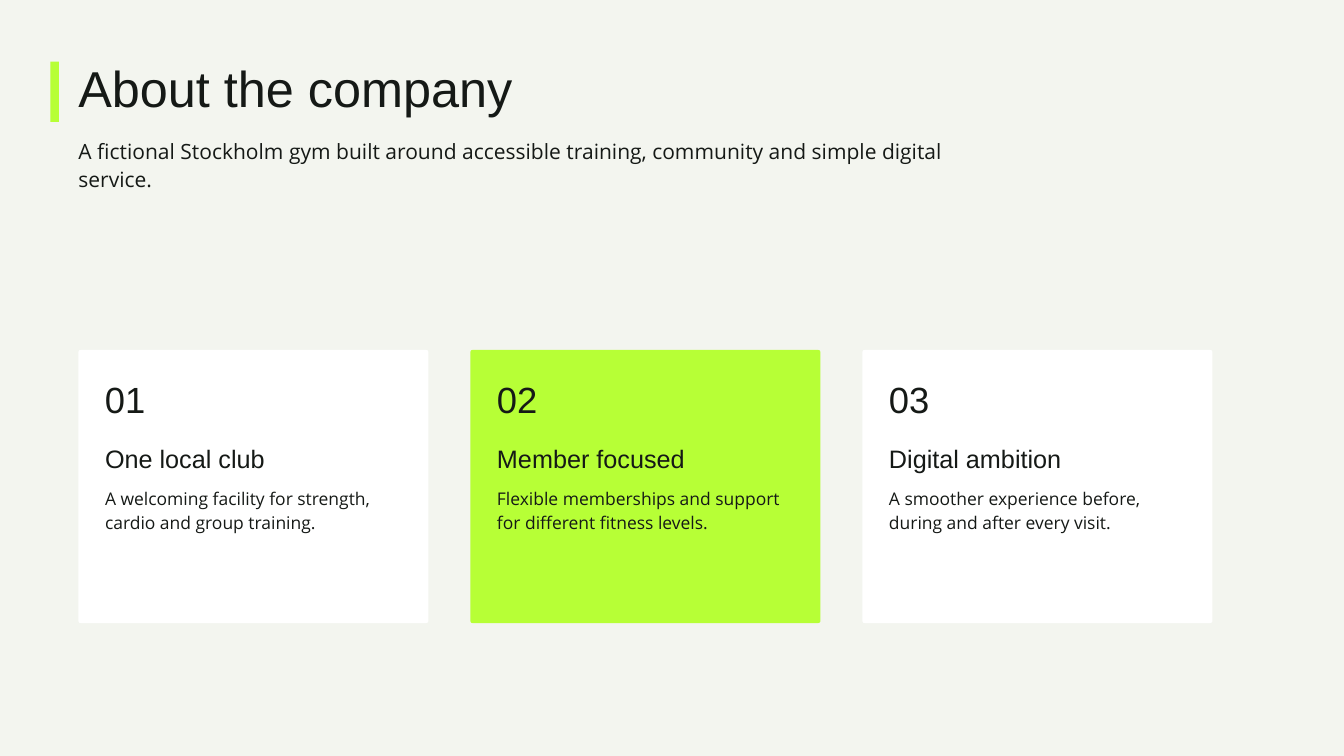
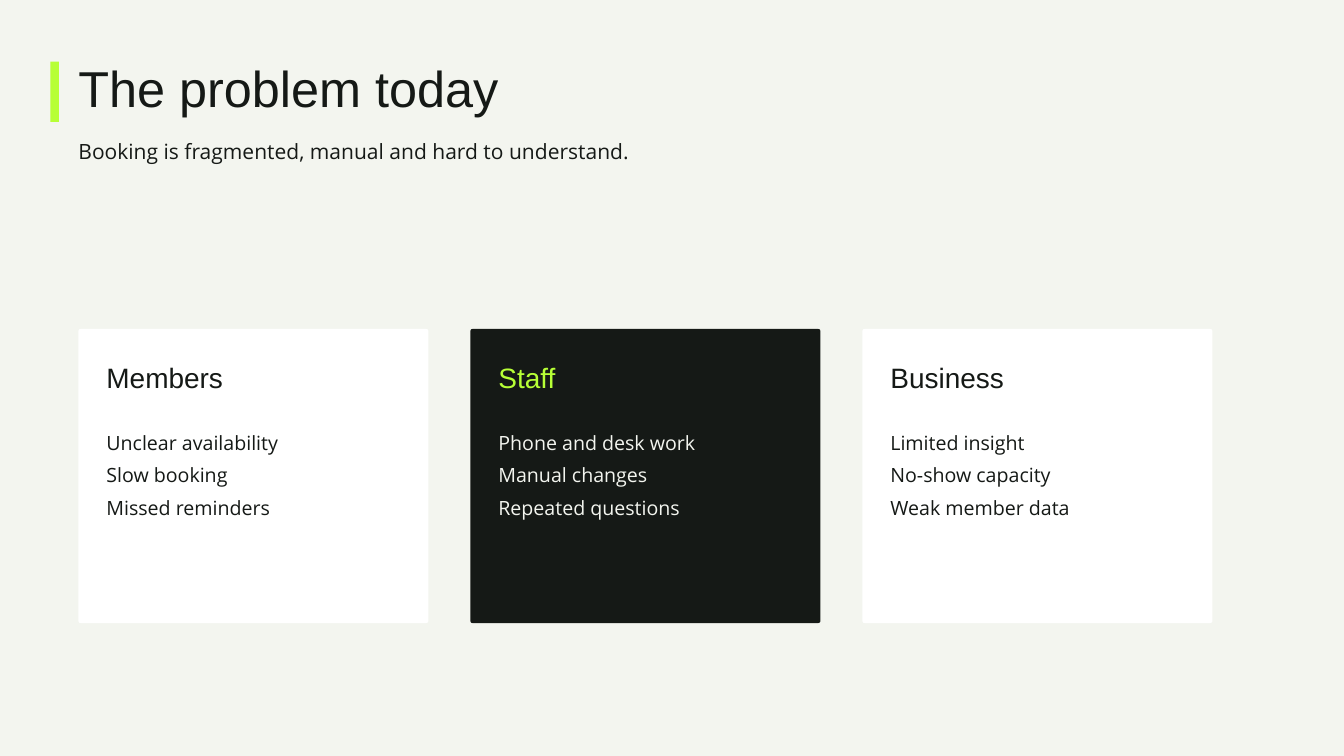
import pptx
import pptx.util
import pptx.dml.color
import pptx.enum.shapes
import pptx.enum.text

Pt = pptx.util.Pt
RGBColor = pptx.dml.color.RGBColor
SHAPES = pptx.enum.shapes.MSO_SHAPE

# Shared style
PAPER = RGBColor(0xF3, 0xF5, 0xEF)
INK = RGBColor(0x15, 0x19, 0x16)
LIME = RGBColor(0xB7, 0xFF, 0x36)
WHITE = RGBColor(0xFF, 0xFF, 0xFF)
HEAD_FONT = "Arial"
BODY_FONT = "Open Sans"

# Card grid, in points
LEFT = 84
CARD_WIDTH = 375
CARD_GAP = 45
CARD_BOTTOM = 667.5
CARD_RADIUS = 2.2
TEXT_WIDTH = 315


def add_text(page, box, lines, font, size, leading, color=INK):
    """Place one paragraph per line in a box without margins."""
    left, top, width, height = box
    area = page.shapes.add_textbox(Pt(left), Pt(top), Pt(width), Pt(height))
    frame = area.text_frame
    frame.word_wrap = True
    frame.auto_size = pptx.enum.text.MSO_AUTO_SIZE.SHAPE_TO_FIT_TEXT
    frame.margin_left = frame.margin_right = Pt(0)
    frame.margin_top = frame.margin_bottom = Pt(0)
    for index, line in enumerate(lines):
        para = frame.add_paragraph() if index else frame.paragraphs[0]
        para.line_spacing = Pt(leading)
        span = para.add_run()
        span.text = line
        span.font.name = font
        span.font.size = Pt(size)
        span.font.color.rgb = color


def add_panel(page, kind, box, color):
    """Place a flat filled shape."""
    panel = page.shapes.add_shape(kind, *(Pt(length) for length in box))
    panel.shadow.inherit = False
    panel.fill.solid()
    panel.fill.fore_color.rgb = color
    panel.line.fill.background()
    return panel


def add_page(deck, title, subtitle, subtitle_height):
    """Start a slide with the shared background and heading."""
    page = deck.slides.add_slide(deck.slide_layouts[6])
    page.background.fill.solid()
    page.background.fill.fore_color.rgb = PAPER
    add_text(page, (LEFT, 71.25, 1125, 57.75), [title], HEAD_FONT, 54, 55.1)
    add_text(page, (LEFT, 144.75, 960, subtitle_height), [subtitle],
             BODY_FONT, 22.5, 30.4)
    add_panel(page, SHAPES.RECTANGLE, (54, 66, 9, 64.5), LIME)
    return page


def add_card(page, column, top, color):
    """Place the card of a column and return its left edge."""
    left = LEFT + column * (CARD_WIDTH + CARD_GAP)
    height = CARD_BOTTOM - top
    card = add_panel(page, SHAPES.ROUNDED_RECTANGLE,
                     (left, top, CARD_WIDTH, height), color)
    card.adjustments[0] = CARD_RADIUS / height
    return left


def add_company_card(page, column, heading, text, color):
    top = 375
    left = add_card(page, column, top, color) + 28.5
    add_text(page, (left, top + 21, 75, 50.25), [f"{column + 1:02}"],
             HEAD_FONT, 39, 54.6)
    add_text(page, (left, top + 94.5, TEXT_WIDTH, 35.25), [heading],
             HEAD_FONT, 27, 37.8)
    add_text(page, (left, top + 145.5, TEXT_WIDTH, 48), [text],
             BODY_FONT, 18.75, 25.3)


def add_problem_card(page, column, heading, problems, color, head_color, text_color):
    top = 352.5
    left = add_card(page, column, top, color) + 30
    add_text(page, (left, top + 27.75, TEXT_WIDTH, 39.75), [heading],
             HEAD_FONT, 30, 42, head_color)
    add_text(page, (left, top + 99.75, TEXT_WIDTH, 99.5), problems,
             BODY_FONT, 21, 34.6, text_color)


def build_company(deck):
    page = add_page(
        deck, "About the company",
        "A fictional Stockholm gym built around accessible training, "
        "community and simple digital service.", 59)
    cards = [
        ("One local club",
         "A welcoming facility for strength, cardio and group training.", WHITE),
        ("Member focused",
         "Flexible memberships and support for different fitness levels.", LIME),
        ("Digital ambition",
         "A smoother experience before, during and after every visit.", WHITE),
    ]
    for column, card in enumerate(cards):
        add_company_card(page, column, *card)


def build_problem(deck):
    page = add_page(deck, "The problem today",
                    "Booking is fragmented, manual and hard to understand.", 28.75)
    light = (WHITE, INK, INK)
    dark = (INK, LIME, PAPER)
    cards = [
        ("Members",
         ["Unclear availability", "Slow booking", "Missed reminders"], light),
        ("Staff",
         ["Phone and desk work", "Manual changes", "Repeated questions"], dark),
        ("Business",
         ["Limited insight", "No-show capacity", "Weak member data"], light),
    ]
    for column, (heading, problems, colors) in enumerate(cards):
        add_problem_card(page, column, heading, problems, *colors)


def main():
    deck = pptx.Presentation()
    deck.slide_width = Pt(1440)
    deck.slide_height = Pt(810)
    build_company(deck)
    build_problem(deck)
    deck.save("out.pptx")


if __name__ == "__main__":
    main()
